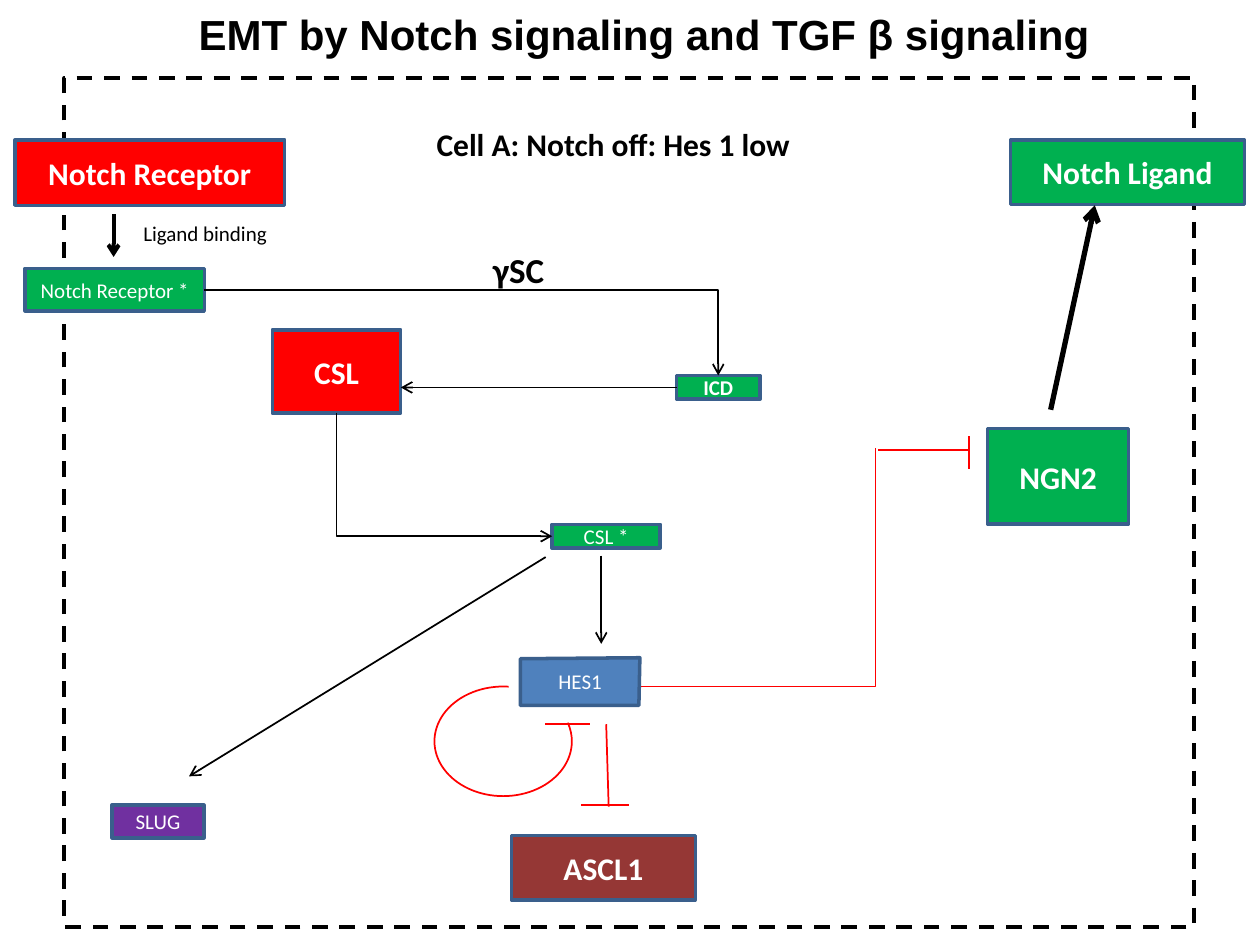
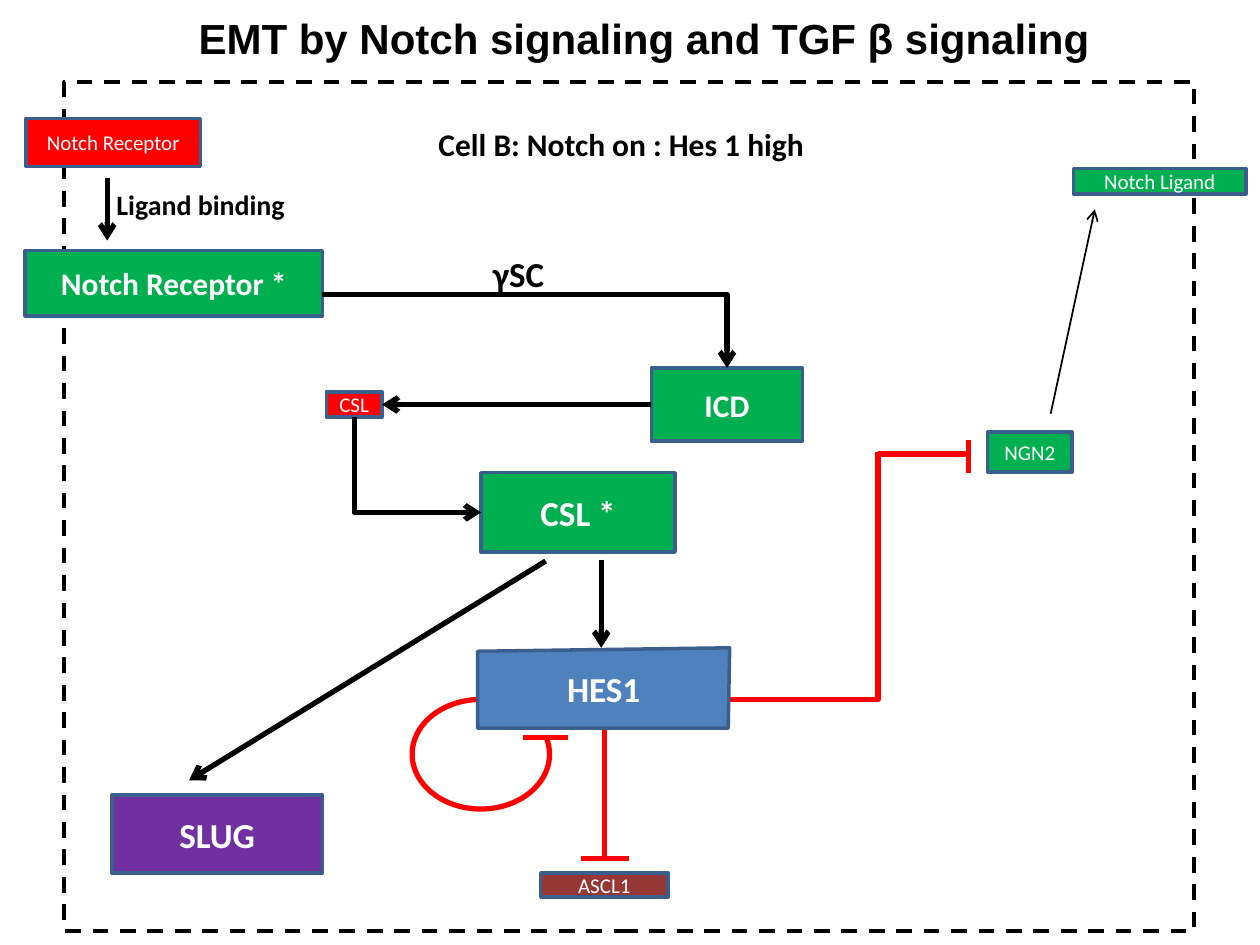
import pptx
import pptx.dml.color
import pptx.enum.dml
import pptx.enum.shapes
import pptx.enum.text
import pptx.oxml
import pptx.oxml.ns
import pptx.util

Cm = pptx.util.Cm
Pt = pptx.util.Pt
SHAPE = pptx.enum.shapes.MSO_SHAPE
LINK = pptx.enum.shapes.MSO_CONNECTOR
ANCHOR = pptx.enum.text.MSO_ANCHOR
ALIGN = pptx.enum.text.PP_ALIGN

BLACK, WHITE, RED, GREEN, BORDER = "000000", "FFFFFF", "FF0000", "00B050", "3A5F8C"
TITLE = "EMT by Notch signaling and TGF β signaling "
FILLS = {
    "Notch Receptor *": GREEN, "Notch Ligand": GREEN, "ASCL1": "953735",
    "CSL *": GREEN, "SLUG": "7030A0", "ICD": GREEN, "CSL": RED,
    "Notch Receptor": RED, "NGN2": GREEN, "HES1": "4F81BD",
}

# Lengths in cm; nodes are left, top, width, height, text size
CELL_A = dict(
    shift=0, flow=1, ligand_flow=3, binding_flow=2.25,
    caption=("Cell A: Notch off: Hes 1 low", 7.87, 8.99, ALIGN.CENTER),
    nodes={
        "Notch Receptor *": (0.51, 5.41, 3.61, 0.86, 12),
        "Notch Ligand": (20.37, 2.82, 4.72, 1.3, 18),
        "ASCL1": (10.31, 16.84, 3.71, 1.3, 18),
        "CSL *": (11.13, 10.57, 2.18, 0.48, 12),
        "SLUG": (2.26, 16.23, 1.85, 0.66, 12),
        "ICD": (13.64, 7.57, 1.68, 0.48, 12),
        "CSL": (5.49, 6.65, 2.59, 1.68, 18),
        "Notch Receptor": (0.3, 2.82, 5.44, 1.32, 18),
        "NGN2": (19.91, 8.64, 2.84, 1.93, 18),
    },
    hes1=([(10.49, 13.28), (12.9, 13.26), (12.88, 14.22), (10.49, 14.22)], 12),
    binding=((2.29, 4.32), (2.29, 5.18)),
    binding_label=(1.47, 4.32, 5.33, 0.76, 12),
    cleavage_y=5.84, csl_entry=(8.08, 7.81),
    to_ascl1=((12.22, 14.6), (12.27, 16.26)), ascl1_bar_y=16.23,
    loop=(8.76, 13.84), loop_end=165.43,
    to_ngn2=((12.9, 13.84), (17.65, 9.04)),
)
CELL_B = dict(
    shift=0.08, flow=3, ligand_flow=1, binding_flow=3,
    caption=("Cell B: Notch on : Hes 1 high", 8.59, 8.2, ALIGN.LEFT),
    nodes={
        "Notch Receptor *": (0.51, 5.05, 5.99, 1.32, 18),
        "Notch Ligand": (21.64, 3.4, 3.48, 0.51, 12),
        "ASCL1": (10.9, 17.6, 2.57, 0.48, 12),
        "CSL *": (9.7, 9.53, 3.91, 1.6, 20),
        "SLUG": (2.26, 16.03, 4.24, 1.57, 20),
        "ICD": (13.13, 7.42, 3.05, 1.47, 18),
        "CSL": (6.58, 7.9, 1.12, 0.51, 12),
        "Notch Receptor": (0.53, 2.39, 3.51, 0.97, 12),
        "NGN2": (19.91, 8.71, 1.7, 0.81, 12),
    },
    hes1=([(9.63, 13.13), (14.71, 13.06), (14.68, 14.68), (9.63, 14.68)], 20),
    binding=((2.16, 3.58), (2.16, 4.85)),
    binding_label=(1.9, 3.66, 4.29, 0.94, 16),
    cleavage_y=5.94, csl_entry=None,
    to_ascl1=((12.19, 14.68), (12.19, 17.27)), ascl1_bar_y=17.3,
    loop=(8.31, 14.1), loop_end=168.57,
    to_ngn2=((14.27, 14.1), (17.7, 9.12)),
)


def rgb(value):
    return pptx.dml.color.RGBColor.from_string(value)


class Diagram:
    font = "Calibri"

    def __init__(self, prs):
        self.prs = prs
        self.s = None

    def new_slide(self, title, top):
        self.s = self.prs.slides.add_slide(self.prs.slide_layouts[5])
        sp = self.s.shapes.title
        sp.left, sp.top, sp.width, sp.height = Cm(1.04), Cm(top), Cm(24.13), Cm(1.24)
        self.set_text(sp, title, 24, True, BLACK, anchor=ANCHOR.TOP, font="Arial")

    def set_text(self, sp, text, size, bold, color, anchor=ANCHOR.MIDDLE,
                 align=ALIGN.CENTER, font=None, wrap=True):
        tf = sp.text_frame
        frame = dict(word_wrap=wrap, vertical_anchor=anchor,
                     auto_size=pptx.enum.text.MSO_AUTO_SIZE.NONE)
        for name, value in frame.items():
            setattr(tf, name, value)
        p = tf.paragraphs[0]
        p.alignment = align
        r = p.add_run()
        r.text = text
        for name, value in dict(name=font or self.font, size=Pt(size), bold=bold).items():
            setattr(r.font, name, value)
        r.font.color.rgb = rgb(color)

    def style(self, sp, fill, line, width):
        sp.shadow.inherit = False
        if fill:
            sp.fill.solid()
            sp.fill.fore_color.rgb = rgb(fill)
        else:
            sp.fill.background()
        sp.line.color.rgb = rgb(line)
        sp.line.width = Pt(width)
        return sp

    def shape(self, kind, box, fill, line, width):
        sp = self.s.shapes.add_shape(kind, *map(Cm, box))
        return self.style(sp, fill, line, width)

    def label(self, text, box, size, bold=True, **layout):
        sp = self.s.shapes.add_textbox(*map(Cm, box))
        self.set_text(sp, text, size, bold, BLACK, **layout)

    def node(self, text, box, size):
        sp = self.shape(SHAPE.RECTANGLE, box, FILLS[text], BORDER, 2)
        self.set_text(sp, text, size, size > 12 or text == "ICD", WHITE, wrap=False)
        return sp

    def polygon(self, text, points, size):
        points = [(Cm(x), Cm(y)) for x, y in points]
        outline = self.s.shapes.build_freeform(*points[0])
        outline.add_line_segments(points[1:], close=True)
        sp = self.style(outline.convert_to_shape(), FILLS[text], BORDER, 2)
        self.set_text(sp, text, size, size > 12, WHITE)

    def line(self, start, end, width, color=BLACK, arrow=False, kind=LINK.STRAIGHT):
        c = self.s.shapes.add_connector(kind, *map(Cm, (*start, *end)))
        c.line.color.rgb = rgb(color)
        c.line.width = Pt(width)
        if arrow:
            tail = pptx.oxml.parse_xml(
                f'<a:tailEnd {pptx.oxml.ns.nsdecls("a")} type="arrow"/>')
            c.line._get_or_add_ln().append(tail)
        c._element.spPr.append(
            pptx.oxml.parse_xml(f'<a:effectLst {pptx.oxml.ns.nsdecls("a")}/>'))
        return c

    def elbow(self, start, end, width, color=BLACK, arrow=False, down_first=False):
        c = self.line(start, end, width, color, arrow, LINK.ELBOW)
        spPr = c._element.spPr
        spPr.find(pptx.oxml.ns.qn("a:prstGeom")).set("prst", "bentConnector2")
        if down_first:
            # A quarter turn swaps the extents around the same centre
            w, h = c.width, c.height
            c.left, c.top = c.left + (w - h) // 2, c.top + (h - w) // 2
            c.width, c.height = h, w
            spPr.xfrm.set("rot", "16200000")
            spPr.xfrm.set("flipH", "1")


def draw_cell(d, cell):
    dy, flow = cell["shift"], cell["flow"]
    boxes = cell["nodes"]

    # Title, cell frame and captions
    d.new_slide(TITLE, 0.05 + dy)
    text, x, w, align = cell["caption"]
    d.label(text, (x, 2.39, w, 1.02), 18, anchor=ANCHOR.TOP, align=align)
    frame = d.shape(SHAPE.RECTANGLE, (1.3, 1.57 + dy, 22.78, 17.12), None, BLACK, 2.25)
    frame.line.dash_style = pptx.enum.dml.MSO_LINE.DASH
    d.label("γSC", (8.31, 4.88 + dy, 4.29, 1.09), 20)
    *box, size = cell["binding_label"]
    d.label("Ligand binding", box, size, size > 12, anchor=ANCHOR.TOP)

    # Proteins
    nodes = {name: d.node(name, box, size) for name, (*box, size) in boxes.items()}

    # Activation arrows
    d.line((21.18, 8.26 + dy), (22.07, 4.14 + dy), cell["ligand_flow"], arrow=True)
    d.line((12.12, 11.2 + dy), (12.12, 12.98 + dy), flow, arrow=True)
    d.line((11, 11.23 + dy), (3.81, 15.65 + dy), flow, arrow=True)
    d.line(*cell["binding"], cell["binding_flow"], arrow=True)
    entry = cell["csl_entry"]
    c = d.line(entry or (0, 0), entry or (0, 0), flow, arrow=True)
    c.begin_connect(nodes["ICD"], 1)
    if not entry:
        c.end_connect(nodes["CSL"], 3)

    x, y, w, h, _ = boxes["CSL"]
    x2, y2, _, h2, _ = boxes["CSL *"]
    d.elbow((x + w / 2, y + h), (x2, y2 + h2 / 2), flow, arrow=True, down_first=True)
    x, _, w, _, _ = boxes["Notch Receptor *"]
    x2, y2, w2, _, _ = boxes["ICD"]
    d.elbow((x + w, cell["cleavage_y"]), (x2 + w2 / 2, y2), flow, arrow=True)

    # Inhibition of ASCL1, HES1 itself and NGN2
    x, y = cell["loop"]
    loop = d.shape(SHAPE.ARC, (x, y, 2.77, 2.21), None, RED, flow)
    loop.adjustments[0], loop.adjustments[1] = 206.37, cell["loop_end"]
    bar_y = cell["ascl1_bar_y"]
    for start, end in (
        cell["to_ascl1"],
        ((12.67, bar_y), (11.71, bar_y)),
        ((x + 2.23, y + 0.76), (x + 3.14, y + 0.76)),
        ((19.53, 9.07 + dy), (17.7, 9.07 + dy)),
        ((19.53, 9.45 + dy), (19.53, 8.79 + dy)),
    ):
        d.line(start, end, flow, RED)
    d.elbow(*cell["to_ngn2"], flow, RED)
    d.polygon("HES1", *cell["hes1"])


def main():
    prs = pptx.Presentation()
    prs.slide_width, prs.slide_height = Cm(25.4), Cm(19.05)
    d = Diagram(prs)
    for cell in (CELL_A, CELL_B):
        draw_cell(d, cell)
    prs.save("out.pptx")


if __name__ == "__main__":
    main()
